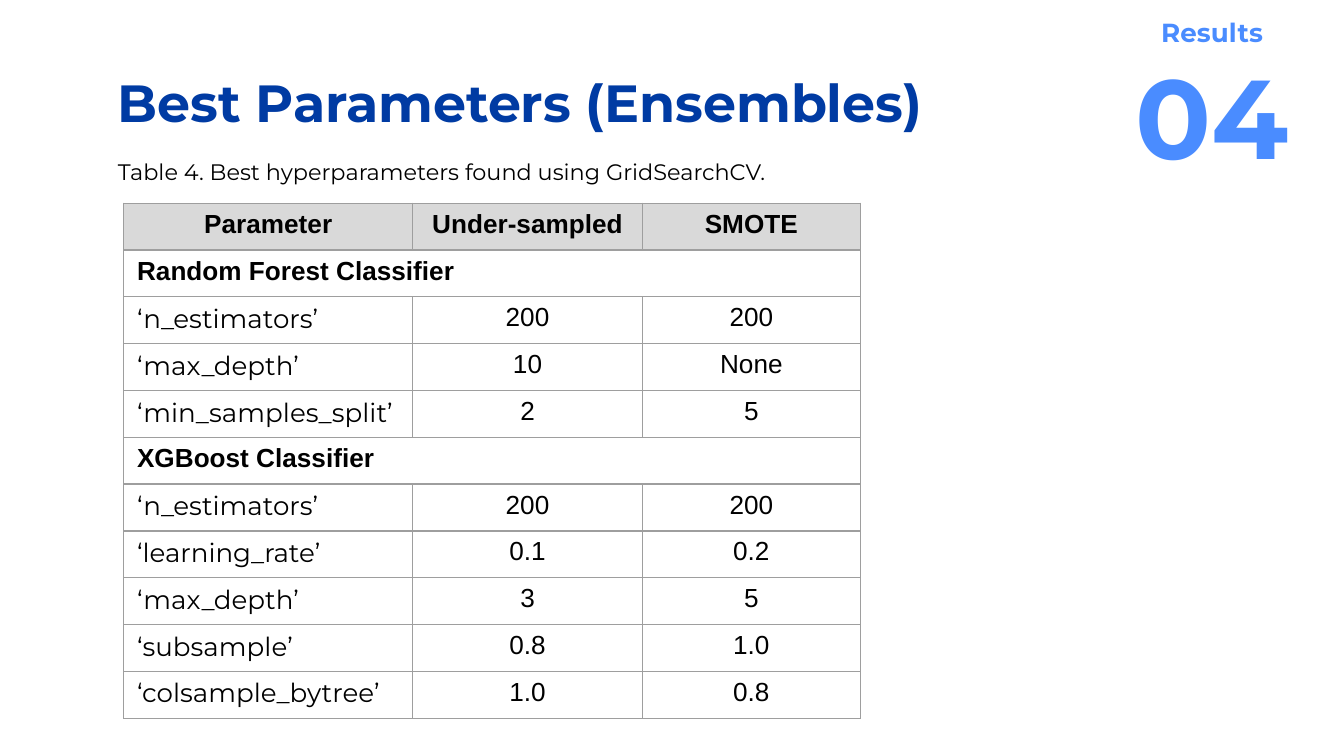
from lxml import etree
from pptx import Presentation
from pptx import util as u
from pptx.dml.color import RGBColor
from pptx.enum import text
from pptx.oxml import ns

NAVY = RGBColor(0x00, 0x3B, 0xA3)
BLUE = RGBColor(0x4A, 0x8C, 0xFF)
BLACK = RGBColor(0, 0, 0)
WHITE = RGBColor(255, 255, 255)
GREY = RGBColor(0xD9, 0xD9, 0xD9)
LINE = RGBColor(0x9E, 0x9E, 0x9E)
MID = text.PP_ALIGN.CENTER
LEFT = text.PP_ALIGN.LEFT


def write(para, words, size, color, bold=False, name="Montserrat", align=LEFT):
    para.alignment = align
    run = para.add_run()
    run.text = words
    run.font.color.rgb = color
    look = {"size": u.Pt(size), "bold": bold, "name": name}
    for key, val in look.items():
        setattr(run.font, key, val)


def add_box(left, top, width, height, anchor=text.MSO_ANCHOR.TOP):
    box = slide.shapes.add_textbox(*map(u.Cm, (left, top, width, height)))
    pad = u.Cm(0.25)
    look = {"word_wrap": True, "vertical_anchor": anchor,
            "margin_left": pad, "margin_right": pad,
            "margin_top": pad, "margin_bottom": pad}
    for key, val in look.items():
        setattr(box.text_frame, key, val)
    return box.text_frame


deck = Presentation()
deck.slide_width, deck.slide_height = u.Cm(25.4), u.Cm(14.29)
slide = deck.slides.add_slide(deck.slide_layouts[6])

# Title
title = add_box(1.98, 1.07, 21.44, 1.6)
write(title.paragraphs[0], "Best Parameters (Ensembles)", 28, NAVY, True)

# Section mark
mark = add_box(20.42, 0.56, 4.98, 2.62, text.MSO_ANCHOR.MIDDLE)
write(mark.paragraphs[0], "Results", 14, BLUE, True, align=MID)
write(mark.add_paragraph(), "04", 60, BLUE, True, align=MID)

# Parameter table: a row with one entry is a section heading
rows = [
    ("Parameter", "Under-sampled", "SMOTE"),
    ("Random Forest Classifier",),
    ("‘n_estimators’", "200", "200"),
    ("‘max_depth’", "10", "None"),
    ("‘min_samples_split’", "2", "5"),
    ("XGBoost Classifier",),
    ("‘n_estimators’", "200", "200"),
    ("‘learning_rate’", "0.1", "0.2"),
    ("‘max_depth’", "3", "5"),
    ("‘subsample’", "0.8", "1.0"),
    ("‘colsample_bytree’", "1.0", "0.8"),
]
wide = (5.46, 4.34, 4.12)
high = u.Cm(9.74)
frame = slide.shapes.add_table(len(rows), len(wide), u.Cm(2.34), u.Cm(3.84),
                               u.Cm(sum(wide)), high)
grid = frame.table
for col, width in zip(grid.columns, wide):
    col.width = u.Cm(width)

for r, row in enumerate(rows):
    grid.rows[r].height = high // len(rows)
    head = r == 0
    group = len(row) == 1
    for c in range(len(wide)):
        cell = grid.cell(r, c)
        look = {"margin_left": u.Cm(0.25), "margin_right": u.Cm(0.25),
                "margin_top": u.Cm(0.12), "margin_bottom": u.Cm(0.12)}
        for key, val in look.items():
            setattr(cell, key, val)
        # Borders go before the fill
        props = cell._tc.get_or_add_tcPr()
        for side in ("a:lnL", "a:lnR", "a:lnT", "a:lnB"):
            edge = etree.SubElement(props, ns.qn(side), w=str(u.Pt(0.75)))
            fill = etree.SubElement(edge, ns.qn("a:solidFill"))
            etree.SubElement(fill, ns.qn("a:srgbClr"), val=str(LINE))
        cell.fill.solid()
        cell.fill.fore_color.rgb = GREY if head else WHITE
        if c < len(row):
            label = c == 0 and not head and not group
            write(cell.text_frame.paragraphs[0], row[c], 14, BLACK, head or group,
                  "Montserrat" if label else "Arial",
                  MID if head or c > 0 else LEFT)
    if group:
        grid.cell(r, 0).merge(grid.cell(r, len(wide) - 1))

# Caption
note = add_box(1.98, 2.74, 16.76, 0.99)
write(note.paragraphs[0], "Table 4. Best hyperparameters found using GridSearchCV.",
      12, BLACK)
note.paragraphs[0].space_after = u.Pt(12)

deck.save("out.pptx")
